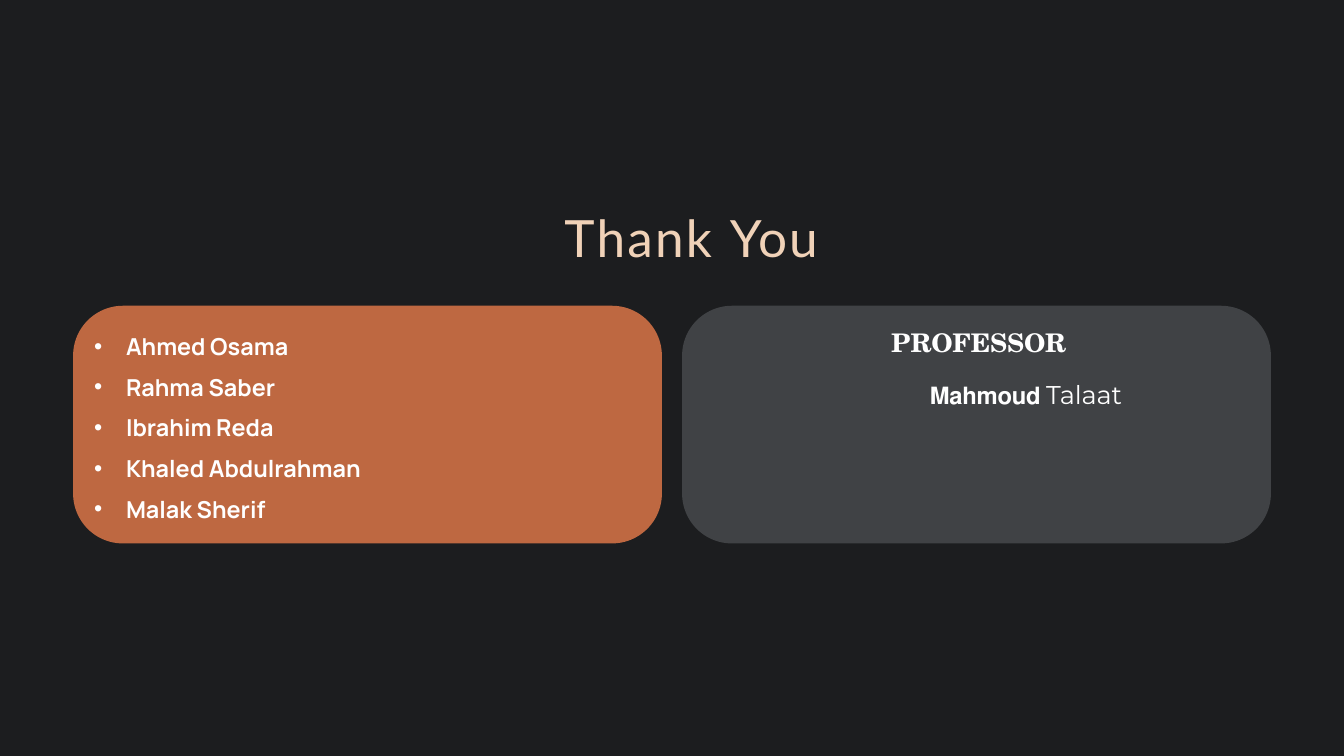
from lxml import etree
from pptx import Presentation
from pptx.dml.color import RGBColor
from pptx.enum.shapes import MSO_SHAPE
from pptx.enum.text import MSO_ANCHOR, MSO_AUTO_SIZE, PP_ALIGN
from pptx.oxml.ns import qn
from pptx.util import Inches, Pt

ROUNDED = MSO_SHAPE.ROUNDED_RECTANGLE
TOP = MSO_ANCHOR.TOP
NO_FIT = MSO_AUTO_SIZE.NONE
LEFT = PP_ALIGN.LEFT

COLORS = {
    "background": "1C1D1F",
    "team": "BE6841",
    "professor": "404245",
    "title": "F0D2B8",
    "text": "FFFFFF",
}
TEAM = ["Ahmed Osama", "Rahma Saber", "Ibrahim Reda",
        "Khaled Abdulrahman", "Malak Sherif"]
CARD_W, CARD_H = 7.01, 2.83
CARD_TOP, CARD_LEFT, CARD_GAP = 3.64, 0.87, 0.24


def rgb(name):
    return RGBColor.from_string(COLORS[name])


def place(sp, left, top, width, height):
    sp.left, sp.top = Inches(left), Inches(top)
    sp.width, sp.height = Inches(width), Inches(height)


def prepare_frame(sp):
    """Give a text shape top anchoring, wrapping and no insets."""
    tf = sp.text_frame
    tf.word_wrap = True
    tf.auto_size = NO_FIT
    tf.vertical_anchor = TOP
    tf.margin_left = tf.margin_right = tf.margin_top = tf.margin_bottom = 0
    return tf


def set_indent(p, left, first=0):
    pPr = p._p.get_or_add_pPr()
    pPr.set("marL", str(Inches(left)))
    pPr.set("indent", str(Inches(first)))
    return pPr


def add_run(p, text, font, size, color="text", bold=False, spacing=0):
    r = p.add_run()
    r.text = text
    r.font.name, r.font.size, r.font.bold = font, Pt(size), bold
    r.font.color.rgb = rgb(color)
    r._r.get_or_add_rPr().set("spc", str(round(spacing * 100)))


def add_card(s, left, top, width, height, color):
    sp = s.shapes.add_shape(ROUNDED, Inches(left), Inches(top),
                            Inches(width), Inches(height))
    sp.adjustments[0] = 0.21
    sp.shadow.inherit = False
    sp.fill.solid()
    sp.fill.fore_color.rgb = rgb(color)
    sp.line.fill.background()


def fill_title(sp, left, top, width, height):
    place(sp, left, top, width, height)
    p = prepare_frame(sp).paragraphs[0]
    p.alignment = LEFT
    set_indent(p, 4.98)
    add_run(p, "Thank ", "Lato", 44, "title", spacing=1.9)
    add_run(p, "You", "Lato", 44, "title", spacing=1.6)


def fill_team(sp, left, top, width, height):
    pad = 0.25
    place(sp, left + pad, top + pad, width - 2 * pad, height - 2 * pad)
    tf = prepare_frame(sp)
    for i, name in enumerate(TEAM):
        p = tf.add_paragraph() if i else tf.paragraphs[0]
        pPr = set_indent(p, 0.38, -0.38)
        etree.SubElement(pPr, qn("a:buChar")).set("char", "•")
        p.alignment = LEFT
        p.line_spacing = Pt(28.5)
        p.space_before = Pt(6.4 if i else 0)
        add_run(p, name, "Manrope", 20, bold=True)


def add_professor(s, left, top, width, height):
    add_card(s, left, top, width, height, "professor")
    sp = s.shapes.add_textbox(Inches(left + 2.49), Inches(top + 0.25),
                              Inches(2.99), Inches(1.02))
    tf = prepare_frame(sp)
    p = tf.paragraphs[0]
    add_run(p, "PROFESSOR", "TeX Gyre Schola", 22, bold=True, spacing=-0.1)
    p = tf.add_paragraph()
    set_indent(p, 0.46)
    p.space_before = Pt(18.4)
    add_run(p, "𝗠𝗮𝗵𝗺𝗼𝘂𝗱 ", "Cambria", 22, spacing=-0.2)
    add_run(p, "Talaat", "Montserrat", 22, spacing=-0.1)


def build_closing_slide(prs):
    s = prs.slides.add_slide(prs.slide_layouts[1])
    s.background.fill.solid()
    s.background.fill.fore_color.rgb = rgb("background")
    title, body = s.placeholders[0], s.placeholders[1]
    fill_title(title, 1.74, 2.46, 12.52, 0.75)
    team_box = (CARD_LEFT, CARD_TOP, CARD_W, CARD_H)
    add_card(s, *team_box, "team")
    fill_team(body, *team_box)
    s.shapes._spTree.append(body._element)  # bring the list above its card
    add_professor(s, CARD_LEFT + CARD_W + CARD_GAP, CARD_TOP, CARD_W, CARD_H)


def main():
    prs = Presentation()
    prs.slide_width, prs.slide_height = Inches(16), Inches(9)
    build_closing_slide(prs)
    prs.save("out.pptx")


if __name__ == "__main__":
    main()
